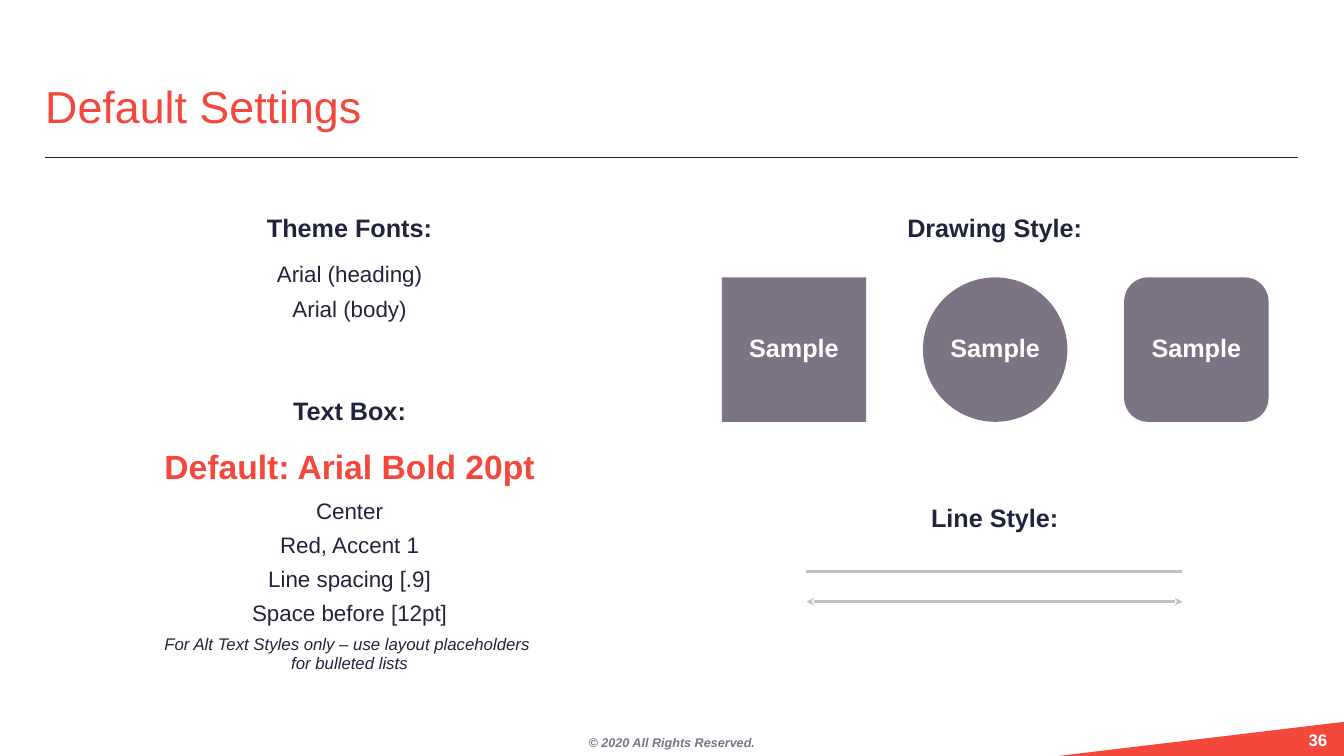
from lxml import etree
from pptx import Presentation
from pptx import util as u
from pptx.dml.color import RGBColor
from pptx.enum import shapes, text
from pptx.oxml import ns

COLORS = {"red": "F4483C", "navy": "21243C", "mauve": "7C7385",
          "silver": "C0BFC8", "white": "FFFFFF"}
CENTER, RIGHT, LEFT = text.PP_ALIGN.CENTER, text.PP_ALIGN.RIGHT, text.PP_ALIGN.LEFT
TOP, MIDDLE, BOTTOM = (text.MSO_ANCHOR.TOP, text.MSO_ANCHOR.MIDDLE,
                       text.MSO_ANCHOR.BOTTOM)
SHAPE = shapes.MSO_SHAPE
HEADING = {"size": 18, "bold": True}
PLAIN = {"size": 16}
NOTE = {"size": 12, "italic": True}


class Deck:
    """Holds the house style and the current slide."""

    def __init__(self, prs, font="Arial"):
        self.font = font
        self.slide = prs.slides.add_slide(prs.slide_layouts[5])

    def fill_text(self, sp, paras, color="navy", align=CENTER, anchor=TOP,
                  inset=(0.25, 0.13), spacing=0.9):
        tf = sp.text_frame
        x, y = map(u.Cm, inset)
        frame = {"word_wrap": True, "auto_size": text.MSO_AUTO_SIZE.NONE,
                 "vertical_anchor": anchor, "margin_left": x, "margin_right": x,
                 "margin_top": y, "margin_bottom": y}
        for name, value in frame.items():
            setattr(tf, name, value)
        for i, (words, fmt, before) in enumerate(paras):
            p = tf.add_paragraph() if i else tf.paragraphs[0]
            p.text = words
            p.alignment, p.line_spacing = align, spacing
            p.space_before = u.Pt(before)
            for r in p.runs:
                values = {"name": self.font, **fmt, "size": u.Pt(fmt["size"])}
                for name, value in values.items():
                    setattr(r.font, name, value)
                r.font.color.rgb = RGBColor.from_string(COLORS[color])
            for br in p._p.iter(ns.qn("a:br")):
                etree.SubElement(br, ns.qn("a:rPr"), sz=str(fmt["size"] * 100))

    def title(self, words, box):
        sp = self.slide.shapes.title
        sp.left, sp.top, sp.width, sp.height = map(u.Cm, box)
        self.fill_text(sp, [(words, {"size": 32}, 0)], "red", LEFT, BOTTOM, (0, 0))

    def textbox(self, box, paras, **style):
        sp = self.slide.shapes.add_textbox(*map(u.Cm, box))
        self.fill_text(sp, paras, **style)

    def shape(self, kind, box, color, adjust=None):
        sp = self.slide.shapes.add_shape(kind, *map(u.Cm, box))
        sp.shadow.inherit = False
        sp.fill.solid()
        sp.fill.fore_color.rgb = RGBColor.from_string(COLORS[color])
        sp.line.fill.background()
        if adjust is not None:
            sp.adjustments[0] = adjust
        return sp

    def line(self, left, right, y, color, width, arrows=False):
        sp = self.slide.shapes.add_connector(
            shapes.MSO_CONNECTOR.STRAIGHT, *map(u.Cm, (left, y, right, y)))
        sp.line.width = u.Pt(width)
        sp.line.color.rgb = RGBColor.from_string(COLORS[color])
        if arrows:
            ln = sp._element.spPr.find(ns.qn("a:ln"))
            for end in ("a:headEnd", "a:tailEnd"):
                etree.SubElement(ln, ns.qn(end), type="stealth")
        etree.SubElement(sp._element.spPr, ns.qn("a:effectLst"))


def main():
    prs = Presentation()
    prs.slide_width, prs.slide_height = u.Cm(33.87), u.Cm(19.05)
    deck = Deck(prs)

    deck.shape(SHAPE.ISOSCELES_TRIANGLE, (26.67, 18.19, 7.2, 0.86), "red", 1)
    deck.textbox((11.85, 18.41, 10.16, 0.64),
                 [("© 2020 All Rights Reserved.",
                   {"size": 9, "bold": True, "italic": True}, 0)],
                 color="mauve", anchor=MIDDLE, inset=(0, 0))
    deck.textbox((32.13, 18.44, 1.32, 0.46), [("36", {"size": 12, "bold": True}, 0)],
                 color="white", align=RIGHT, anchor=MIDDLE, inset=(0, 0))
    deck.title("Default Settings", (1.14, 1.02, 30.28, 2.34))
    deck.line(1.14, 32.72, 3.96, "navy", 0.75)

    left, right, width = 1.7, 17.96, 14.22
    deck.textbox((left, 5.31, width, 3.3),
                 [("Theme Fonts:", HEADING, 0), ("Arial (heading)", PLAIN, 14),
                  ("Arial (body)", PLAIN, 8)])
    for words, x, y in (("Text Box:", left, 9.91), ("Drawing Style:", right, 5.31),
                        ("Line Style:", right, 12.62)):
        deck.textbox((x, y, width, 1.27), [(words, HEADING, 0)])
    deck.textbox((left, 11.18, width, 1.27),
                 [("Default: Arial Bold 20pt", {"size": 24, "bold": True}, 0)],
                 color="red", anchor=MIDDLE)
    deck.textbox((left, 12.45, width, 4.57),
                 [("Center", PLAIN, 0), ("Red, Accent 1", PLAIN, 6),
                  ("Line spacing [.9]", PLAIN, 6), ("Space before [12pt]", PLAIN, 6),
                  ("For Alt Text Styles only – use layout placeholders \n"
                   "for bulleted lists", NOTE, 6)], spacing=0.95)

    samples = (SHAPE.RECTANGLE, SHAPE.OVAL, SHAPE.ROUNDED_RECTANGLE)
    for i, kind in enumerate(samples):
        sp = deck.shape(kind, (18.19 + 5.07 * i, 6.99, 3.64, 3.64), "mauve")
        deck.fill_text(sp, [("Sample", HEADING, 0)], "white", anchor=MIDDLE,
                       inset=(0, 0.13))
    for y, arrows in ((14.4, False), (15.16, True)):
        deck.line(20.32, 29.8, y, "silver", 1.75, arrows)

    prs.save("out.pptx")


if __name__ == "__main__":
    main()
